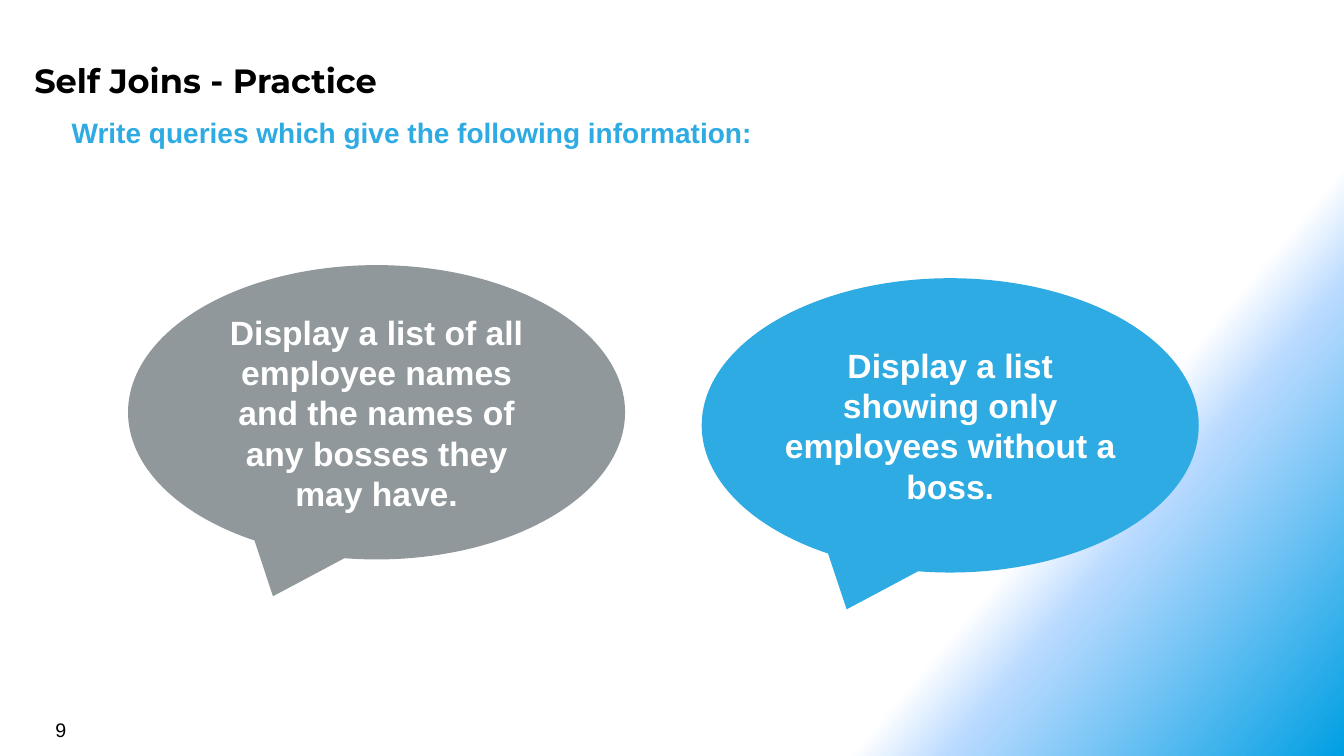
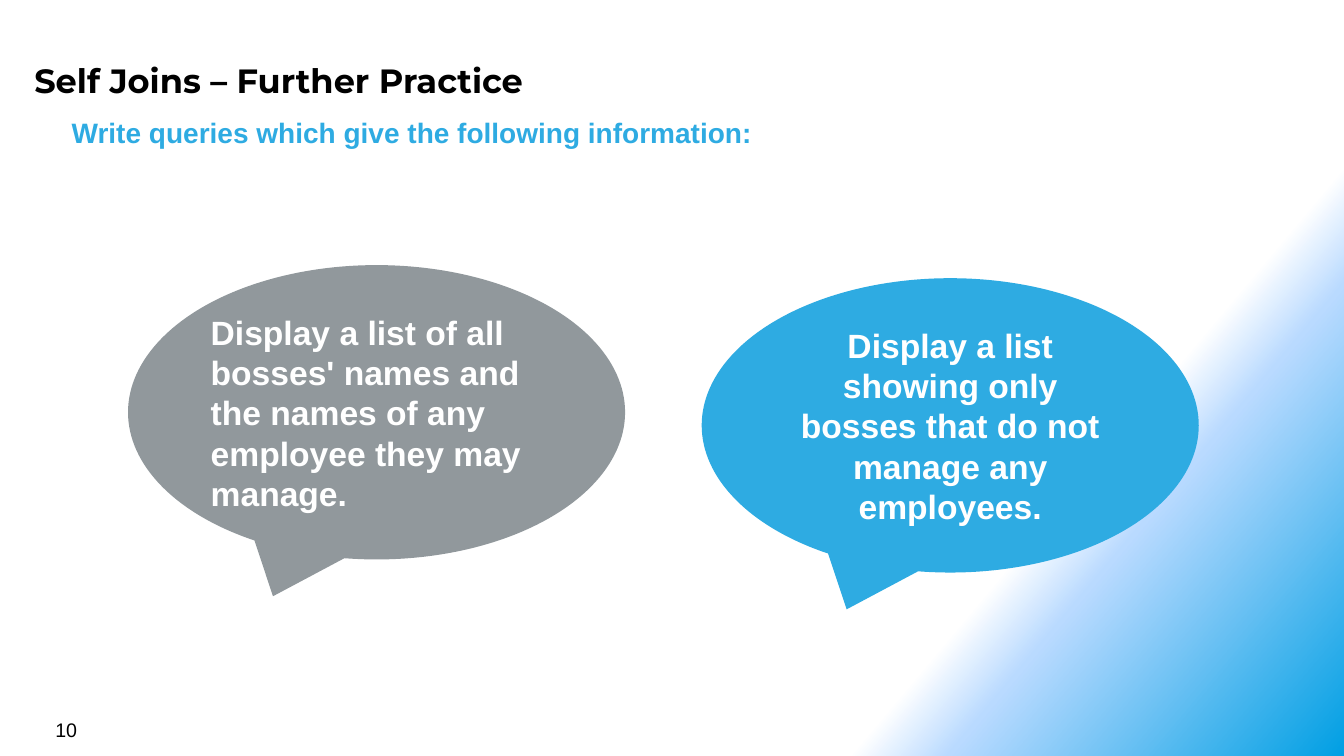
from dataclasses import dataclass

import lxml.etree
import pptx
import pptx.dml.color
import pptx.enum.shapes
import pptx.enum.text
import pptx.oxml.ns
import pptx.util
from pptx.util import Inches

BLACK, WHITE, GRAY, BLUE = "000000", "FFFFFF", "91989C", "2EABE2"
BODY_FONT, TITLE_FONT = "Arial", "Montserrat"
CENTER = pptx.enum.text.PP_ALIGN.CENTER
LEFT = pptx.enum.text.PP_ALIGN.LEFT
PROMPT = "Write queries which give the following information:"


@dataclass
class Style:
    size: int
    color: str
    font: str = BODY_FONT
    bold: bool = True


@dataclass
class Stop:
    position: int
    color: str
    alpha: int = 100


@dataclass
class Spot:
    left: float
    top: float
    width: float
    height: float

    def lengths(self) -> tuple:
        return tuple(Inches(v) for v in (self.left, self.top, self.width, self.height))


@dataclass
class Callout:
    text: str
    align: pptx.enum.text.PP_ALIGN = CENTER


@dataclass
class Practice:
    number: int
    title: str
    callouts: tuple


TITLE_STYLE = Style(24, BLACK, TITLE_FONT)
PROMPT_STYLE = Style(20, BLUE)
CALLOUT_STYLE = Style(24, WHITE)
NUMBER_STYLE = Style(14, BLACK, bold=False)

TITLE_SPOT = Spot(0.26, 0.51, 12.26, 0.55)
PROMPT_SPOT = Spot(0.63, 1.07, 12.01, 0.5)
NUMBER_SPOT = Spot(0.45, 7.07, 3.11, 0.33)
CALLOUT_LOOKS = (
    (Spot(1.27, 2.63, 4.93, 2.92), GRAY),
    (Spot(6.96, 2.76, 4.93, 2.92), BLUE),
)

GRADIENT_ANGLE = 40
GRADIENT = (Stop(75, WHITE), Stop(80, "B9DAFF", 50), Stop(100, "009FE3"))

PRACTICES = (
    Practice(9, "Self Joins - Practice", (
        Callout("Display a list of all employee names and the names of "
                "any bosses they may have."),
        Callout("Display a list showing only employees without a boss."),
    )),
    Practice(10, "Self Joins – Further Practice", (
        Callout("Display a list of all bosses' names and the names of any "
                "employee they may manage.", LEFT),
        Callout("Display a list showing only bosses that do not manage any "
                "employees."),
    )),
)


def rgb(color: str) -> pptx.dml.color.RGBColor:
    return pptx.dml.color.RGBColor.from_string(color)


def paint_background(master) -> None:
    """Give every slide the diagonal corner gradient."""
    qn = pptx.oxml.ns.qn
    master.background.fill.gradient()
    gradient = master.element.find(".//" + qn("a:gradFill"))
    for child in list(gradient):
        gradient.remove(child)
    stops = lxml.etree.SubElement(gradient, qn("a:gsLst"))
    for stop in GRADIENT:
        node = lxml.etree.SubElement(stops, qn("a:gs"), pos=str(stop.position * 1000))
        color = lxml.etree.SubElement(node, qn("a:srgbClr"), val=stop.color)
        if stop.alpha < 100:
            lxml.etree.SubElement(color, qn("a:alpha"), val=str(stop.alpha * 1000))
    lxml.etree.SubElement(gradient, qn("a:lin"),
                          ang=str(GRADIENT_ANGLE * 60000), scaled="0")


def write(frame, text: str, style: Style, align=LEFT):
    """Put one formatted paragraph in a text frame."""
    frame.word_wrap = True
    para = frame.paragraphs[0]
    para.alignment = align
    para.space_before = pptx.util.Pt(0)
    span = para.add_run()
    span.text = text
    span.font.name = style.font
    span.font.size = pptx.util.Pt(style.size)
    span.font.bold = style.bold
    span.font.color.rgb = rgb(style.color)
    return para


def fill_placeholder(box, spot: Spot, text: str, style: Style):
    box.left, box.top, box.width, box.height = spot.lengths()
    frame = box.text_frame
    frame.auto_size = pptx.enum.text.MSO_AUTO_SIZE.NONE
    frame.vertical_anchor = pptx.enum.text.MSO_ANCHOR.TOP
    frame.margin_left = frame.margin_right = Inches(0.08)
    frame.margin_top = frame.margin_bottom = Inches(0.08)
    return write(frame, text, style)


def remove_bullet(para) -> None:
    properties = para._p.get_or_add_pPr()
    properties.set("marL", "0")
    properties.set("indent", "0")
    lxml.etree.SubElement(properties, pptx.oxml.ns.qn("a:buNone"))


def add_callout(page, callout: Callout, spot: Spot, color: str) -> None:
    kind = pptx.enum.shapes.MSO_SHAPE.OVAL_CALLOUT
    bubble = page.shapes.add_shape(kind, *spot.lengths())
    bubble.shadow.inherit = False
    bubble.fill.solid()
    bubble.fill.fore_color.rgb = rgb(color)
    bubble.line.fill.background()
    bubble.text_frame.vertical_anchor = pptx.enum.text.MSO_ANCHOR.MIDDLE
    write(bubble.text_frame, callout.text, CALLOUT_STYLE, callout.align)


def add_practice(deck, practice: Practice) -> None:
    page = deck.slides.add_slide(deck.slide_layouts[1])
    # Title and prompt
    fill_placeholder(page.shapes.title, TITLE_SPOT, practice.title, TITLE_STYLE)
    prompt = fill_placeholder(page.placeholders[1], PROMPT_SPOT, PROMPT, PROMPT_STYLE)
    remove_bullet(prompt)
    # Speech bubbles
    for callout, (spot, color) in zip(practice.callouts, CALLOUT_LOOKS):
        add_callout(page, callout, spot, color)
    # Page number
    number = page.shapes.add_textbox(*NUMBER_SPOT.lengths())
    write(number.text_frame, str(practice.number), NUMBER_STYLE)


def main() -> None:
    deck = pptx.Presentation()
    deck.slide_width, deck.slide_height = Inches(13.33), Inches(7.5)
    paint_background(deck.slide_master)
    for practice in PRACTICES:
        add_practice(deck, practice)
    deck.save("out.pptx")


if __name__ == "__main__":
    main()
